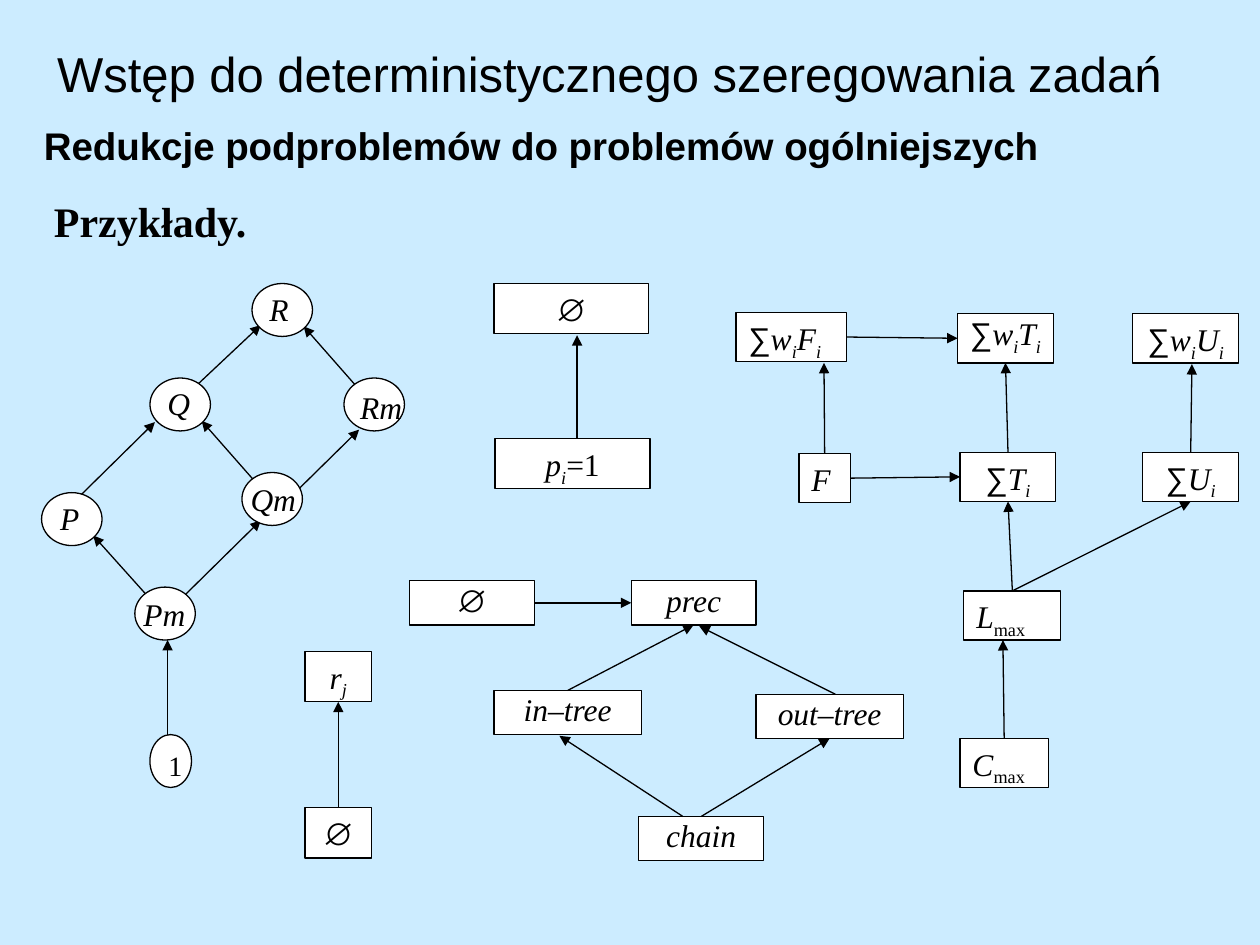
from collections import namedtuple

from lxml.etree import SubElement
from pptx import Presentation
from pptx.dml.color import RGBColor
from pptx.enum.shapes import MSO_CONNECTOR, MSO_SHAPE
from pptx.enum.text import MSO_ANCHOR, PP_ALIGN
from pptx.oxml.ns import qn
from pptx.util import Pt

SCALE = 9144  # EMU per px, 100 px to the inch
BLACK = RGBColor(0x00, 0x00, 0x00)
WHITE = RGBColor(0xFF, 0xFF, 0xFF)
SKY = RGBColor(0xCC, 0xEC, 0xFF)
SANS, SERIF = "Arial", "Times New Roman"
TOP, LEFT, BOTTOM, RIGHT = range(4)

Side = namedtuple("Side", "box site")
Span = namedtuple("Span", "text font italic lowered")


def px(*lengths):
    return [round(length * SCALE) for length in lengths]


def var(text):
    return Span(text, SERIF, True, False)


def plain(text):
    return Span(text, SERIF, False, False)


def sub(text, italic=True):
    return Span(text, SERIF, italic, True)


EMPTY = Span("∅", SANS, False, False)
SUM = Span("∑", SANS, False, False)


def write(shape, spans, align=PP_ALIGN.LEFT, inset=(10, 5), size=18):
    frame = shape.text_frame
    frame.word_wrap = True
    frame.vertical_anchor = MSO_ANCHOR.TOP
    frame.margin_left = frame.margin_right = px(inset[0])[0]
    frame.margin_top = frame.margin_bottom = px(inset[1])[0]
    para = frame.paragraphs[0]
    para.alignment = align
    para.font.size = Pt(size)
    para.font.color.rgb = BLACK
    for text, font, italic, lowered in spans:
        span = para.add_run()
        span.text = text
        span.font.name = font
        span.font.italic = italic
        if lowered:
            span.font._element.set("baseline", "-25000")


class Diagram:
    """A group of nodes and arrows measured from its own top left corner."""

    def __init__(self, page, left, top):
        self.shapes = page.shapes.add_group_shape().shapes
        self.left, self.top = left, top

    def place(self, x, y):
        return px(self.left + x, self.top + y)

    def node(self, x, y, width, height, kind=MSO_SHAPE.RECTANGLE):
        shape = self.shapes.add_shape(kind, *self.place(x, y), *px(width, height))
        shape.shadow.inherit = False
        shape.fill.solid()
        shape.fill.fore_color.rgb = WHITE
        shape.line.color.rgb = BLACK
        shape.line.width = Pt(0.75)
        return shape

    def box(self, area, *spans, align=PP_ALIGN.CENTER, inset=(10, 5)):
        shape = self.node(*area)
        write(shape, spans, align, inset)
        return shape

    def label(self, x, y, width, height, *spans):
        write(self.shapes.add_textbox(*self.place(x, y), *px(width, height)), spans)

    def point(self, end):
        if not isinstance(end, Side):
            return self.place(*end)
        box, site = end
        across = {LEFT: 0, RIGHT: box.width}.get(site, box.width // 2)
        down = {TOP: 0, BOTTOM: box.height}.get(site, box.height // 2)
        return box.left + across, box.top + down

    def arrow(self, start, end):
        """Each end is a point or the Side of a box to join."""
        line = self.shapes.add_connector(
            MSO_CONNECTOR.STRAIGHT, *self.point(start), *self.point(end))
        line.line.color.rgb = BLACK
        line.line.width = Pt(0.75)
        SubElement(line.line._get_or_add_ln(), qn("a:tailEnd"), type="triangle")
        SubElement(line._element.spPr, qn("a:effectLst"))
        if isinstance(start, Side):
            line.begin_connect(*start)
        if isinstance(end, Side):
            line.end_connect(*end)


def add_headings(page):
    title = page.shapes.title
    title.left, title.top, title.width, title.height = px(0, 8, 967, 100)
    write(title, [Span("Wstęp do deterministycznego szeregowania zadań", SANS, False, False)],
          PP_ALIGN.CENTER, size=28)
    title.text_frame.vertical_anchor = MSO_ANCHOR.MIDDLE
    for area, text, font, size, align in (
            ((25, 92, 858, 47), "Redukcje podproblemów do problemów ogólniejszych",
             SANS, 22, PP_ALIGN.JUSTIFY),
            ((33, 150, 367, 50), "Przykłady.", SERIF, 24, PP_ALIGN.LEFT)):
        heading = page.shapes.add_textbox(*px(*area))
        write(heading, [Span(text, font, False, False)], align, size=size)
        heading.text_frame.paragraphs[0].font.bold = True


def add_machines(page, left, top):
    graph = Diagram(page, left, top)
    for start, end in (
            ((109, 252), (174, 188)), ((26, 173), (90, 110)),
            ((93, 258), (41, 200)), ((100, 367), (100, 283)),
            ((108, 95), (174, 33)), ((191, 176), (252, 116)),
            ((178, 167), (127, 109)), ((259, 92), (208, 34))):
        graph.arrow(start, end)
    for name, x, y, shift_x, shift_y in (
            ("R", 167, 0, 4, 0), ("Q", 86, 75, 4, 0), ("Rm", 240, 75, 3, 3),
            ("Qm", 159, 150, -3, 1), ("P", 0, 166, 5, 0), ("Pm", 74, 241, -3, 1)):
        graph.node(x, y, 48, 42, MSO_SHAPE.OVAL)
        width = 44 if len(name) == 1 else 57
        graph.label(x + shift_x, y + shift_y, width, 38, var(name))
    single = graph.node(86, 358, 33, 42, MSO_SHAPE.OVAL)
    write(single, [plain("1")], size=16)


def add_processing_times(page, left, top):
    graph = Diagram(page, left, top)
    graph.box((0, 0, 123, 40), EMPTY)
    graph.box((1, 123, 123, 40), var("p"), sub("i"), plain("=1"))
    graph.arrow((66, 123), (66, 41))


def add_ready_times(page, left, top):
    graph = Diagram(page, left, top)
    ready = graph.box((0, 0, 53, 40), var("r"), sub("j"))
    empty = graph.box((0, 124, 53, 40), EMPTY)
    graph.arrow(Side(empty, TOP), Side(ready, BOTTOM))


def add_criteria(page, left, top):
    graph = Diagram(page, left, top)
    weight = (SUM, var("w"), sub("i"))
    maximum = sub("max", italic=False)
    weighted_flow = graph.box((0, 0, 88, 39), *weight, var("F"), sub("i"), align=PP_ALIGN.LEFT)
    flow = graph.box((50, 112, 41, 39), var("F"), align=PP_ALIGN.LEFT)
    weighted_tardy = graph.box((176, 1, 76, 39), *weight, var("T"), sub("i"), inset=(0, 0))
    tardy = graph.box((178, 111, 76, 39), SUM, var("T"), sub("i"))
    graph.box((315, 1, 84, 39), *weight, var("U"), sub("i"))
    late = graph.box((323, 111, 76, 39), SUM, var("U"), sub("i"))
    lateness = graph.box((181, 221, 77, 39), var("L"), maximum, align=PP_ALIGN.LEFT)
    makespan = graph.box((178, 338, 70, 39), var("C"), maximum, align=PP_ALIGN.LEFT)
    for start, end in (
            (Side(makespan, TOP), (212, 260)),
            (Side(lateness, TOP), Side(tardy, BOTTOM)),
            (Side(lateness, TOP), Side(late, BOTTOM)),
            (Side(flow, RIGHT), Side(tardy, LEFT)),
            (Side(late, TOP), (362, 41)),
            (Side(tardy, TOP), Side(weighted_tardy, BOTTOM)),
            (Side(flow, TOP), (70, 40)),
            (Side(weighted_flow, RIGHT), Side(weighted_tardy, LEFT))):
        graph.arrow(start, end)


def add_precedence(page, left, top):
    graph = Diagram(page, left, top)
    empty, prec, in_tree, out_tree, chain = [
        graph.box((x, y, width, 35), span, inset=(10, 0))
        for x, y, width, span in (
            (0, 0, 99, EMPTY), (176, 0, 99, var("prec")),
            (67, 87, 117, var("in–tree")), (275, 90, 117, var("out–tree")),
            (182, 187, 99, var("chain")))]
    for start, end in (
            ((217, 187), (119, 123)),
            (Side(chain, TOP), Side(out_tree, BOTTOM)),
            ((338, 90), (230, 36)),
            (Side(empty, RIGHT), Side(prec, LEFT)),
            (Side(in_tree, TOP), Side(prec, BOTTOM))):
        graph.arrow(start, end)


def main():
    deck = Presentation()
    deck.slide_width, deck.slide_height = px(1000, 750)
    page = deck.slides.add_slide(deck.slide_layouts[5])
    page.background.fill.solid()
    page.background.fill.fore_color.rgb = SKY
    add_headings(page)
    add_machines(page, 33, 225)
    add_processing_times(page, 392, 225)
    add_ready_times(page, 242, 517)
    add_criteria(page, 584, 248)
    add_precedence(page, 325, 461)
    deck.save("out.pptx")


if __name__ == "__main__":
    main()
